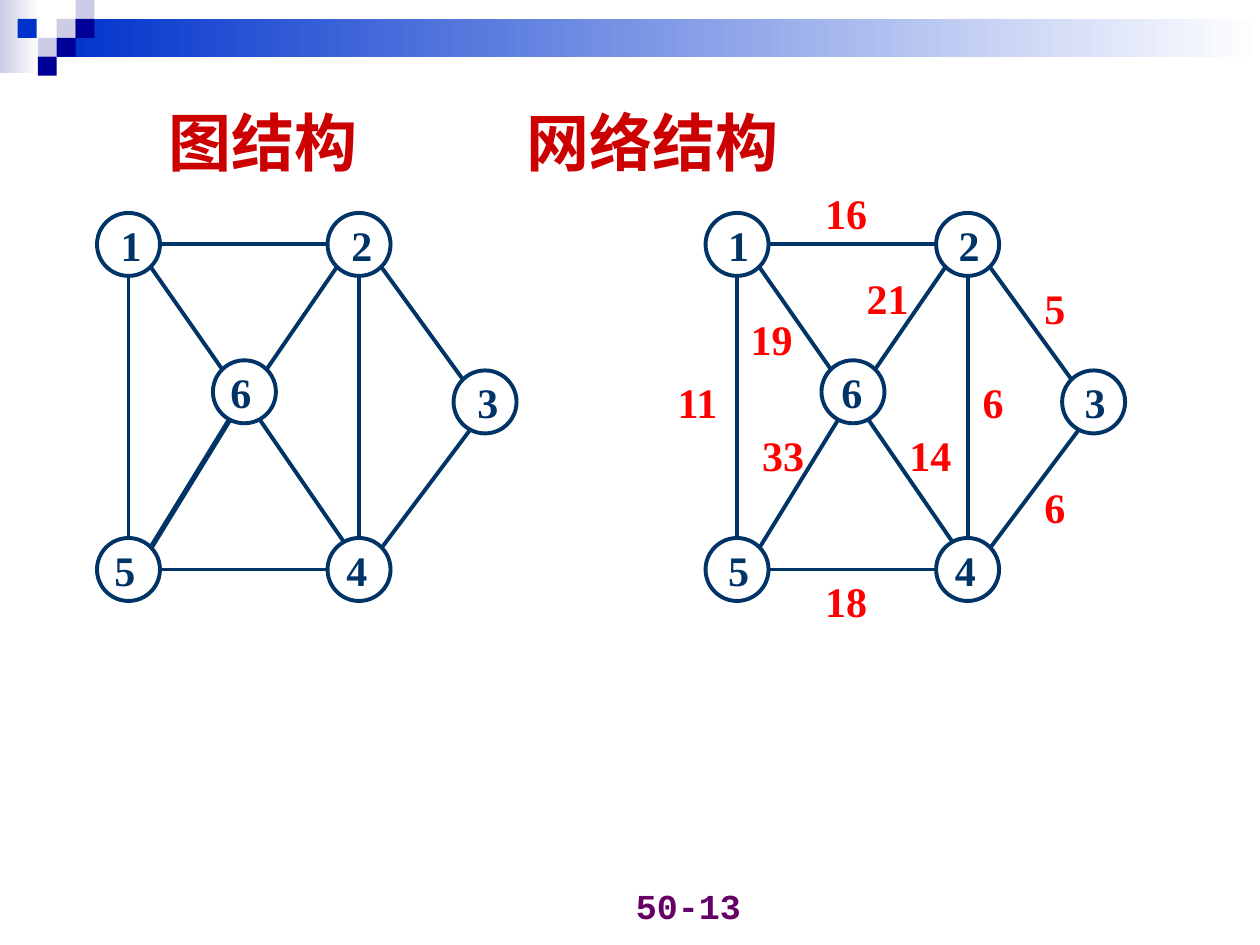
"""Build a slide that sets a plain graph beside a weighted network."""
from typing import NamedTuple

from lxml import etree
from pptx import Presentation
from pptx.dml.color import RGBColor
from pptx.enum.shapes import MSO_CONNECTOR, MSO_SHAPE
from pptx.enum.text import MSO_ANCHOR, PP_ALIGN
from pptx.oxml.ns import qn
from pptx.util import Inches, Pt

RECT, OVAL = MSO_SHAPE.RECTANGLE, MSO_SHAPE.OVAL
STRAIGHT = MSO_CONNECTOR.STRAIGHT
TOP, BOTTOM = MSO_ANCHOR.TOP, MSO_ANCHOR.BOTTOM
LEFT, RIGHT = PP_ALIGN.LEFT, PP_ALIGN.RIGHT
NAVY, RED, WHITE, PALE = "003366", "FF0000", "FFFFFF", "CCCCE6"
BLUE, DARK = "0033CC", "000099"
SERIF, HAN, MONO = "Times New Roman", "Noto Sans CJK SC", "Courier New"
SIZE, HALF, TILE = 0.5, 0.25, 0.15


class Node(NamedTuple):
    name: str
    x: float
    y: float


class Edge(NamedTuple):
    start: str
    end: str
    out: tuple[float, float]
    into: tuple[float, float]


class Graph(NamedTuple):
    left: float
    bold: float
    nudge: dict[str, float]


class Weight(NamedTuple):
    text: str
    x: float
    y: float


class Tile(NamedTuple):
    x: float
    y: float
    fill: str


NODES = [
    Node("1", 0, 1.69), Node("2", 1.83, 1.69), Node("3", 2.83, 2.94),
    Node("4", 1.83, 4.27), Node("5", 0, 4.27), Node("6", 0.92, 2.86),
]
EDGES = [
    Edge("1", "2", (HALF, 0), (-HALF, 0)),
    Edge("1", "5", (0, HALF), (0, -HALF)),
    Edge("1", "6", (0.17, 0.17), (-0.17, -0.17)),
    Edge("2", "6", (-0.17, 0.17), (0.17, -0.17)),
    Edge("2", "3", (0.17, 0.17), (-0.17, -0.17)),
    Edge("2", "4", (0, HALF), (0, -HALF)),
    Edge("3", "4", (-0.08, 0.17), (0.17, -0.16)),
    Edge("6", "4", (0.08, 0.16), (-0.08, -0.16)),
    Edge("6", "5", (-0.08, 0.16), (0.17, -0.16)),
    Edge("5", "4", (HALF, 0), (-HALF, 0)),
]
GRAPHS = [
    Graph(0.77, 3, {"1": 0.09, "2": 0.09, "3": 0.09,
                    "4": 0.05, "5": 0.04, "6": 0.04}),
    Graph(5.6, 2.25, {"1": 0.08, "2": 0.08, "3": 0.08,
                      "4": 0.05, "5": 0.08, "6": 0.06}),
]
WEIGHTS = [
    Weight("11", 5.28, 2.94), Weight("33", 5.95, 3.36),
    Weight("18", 6.45, 4.52), Weight("14", 7.12, 3.36),
    Weight("6", 7.7, 2.94), Weight("6", 8.19, 3.77),
    Weight("5", 8.19, 2.19), Weight("16", 6.45, 1.44),
    Weight("19", 5.86, 2.44), Weight("21", 6.78, 2.11),
]
TILES = [
    Tile(0.45, 0.15, PALE), Tile(0.6, 0, PALE), Tile(0.6, 0.15, DARK),
    Tile(0.3, 0.3, PALE), Tile(0.14, 0.15, BLUE), Tile(0.45, 0.3, DARK),
    Tile(0.3, 0.45, DARK),
]


def tint(code: str) -> RGBColor:
    """Turn a hex string into a colour."""
    return RGBColor.from_string(code)


def shape(slide, kind, x: float, y: float, w: float, h: float):
    """Add a preset shape without shadow or outline."""
    item = slide.shapes.add_shape(kind, *map(Inches, (x, y, w, h)))
    item.shadow.inherit = False
    item.line.fill.background()
    return item


def fade(slide, x: float, y: float, w: float, h: float, code: str) -> None:
    """Draw a bar that fades to white from left to right."""
    fill = shape(slide, RECT, x, y, w, h).fill
    fill.gradient()
    fill.gradient_angle = 0
    for stop, shade in zip(fill.gradient_stops, (code, WHITE)):
        stop.color.rgb = tint(shade)


def text(slide, words: str, x: float, y: float, w: float, h: float, *,
         size: float = 24, font: str = SERIF, color: str = NAVY,
         align=LEFT, anchor=TOP, wrap: bool = False,
         pad: tuple[float, float] = (0.1, 0.05), tab: float = 0) -> None:
    """Add one line of bold text."""
    frame = slide.shapes.add_textbox(*map(Inches, (x, y, w, h))).text_frame
    frame.word_wrap, frame.vertical_anchor = wrap, anchor
    frame.margin_left = frame.margin_right = Inches(pad[0])
    frame.margin_top = frame.margin_bottom = Inches(pad[1])
    para = frame.paragraphs[0]
    para.alignment = align
    if tab:
        stops = etree.SubElement(para._p.get_or_add_pPr(), qn("a:tabLst"))
        etree.SubElement(stops, qn("a:tab"), pos=str(Inches(tab)), algn="l")
    run = para.add_run()
    run.text = words
    face = run.font
    face.name, face.size, face.bold = font, Pt(size), True
    face.color.rgb = tint(color)
    etree.SubElement(run._r.get_or_add_rPr(), qn("a:ea"), typeface=font)


def link(slide, edge: Edge, graph: Graph, spots: dict[str, Node]) -> None:
    """Draw one edge between the rims of two nodes."""
    ends = []
    for name, (dx, dy) in ((edge.start, edge.out), (edge.end, edge.into)):
        spot = spots[name]
        ends += [graph.left + spot.x + HALF + dx, spot.y + HALF + dy]
    line = slide.shapes.add_connector(STRAIGHT, *map(Inches, ends))
    line.line.color.rgb = tint(NAVY)
    heavy = (edge.start, edge.end) == ("6", "5")
    line.line.width = Pt(graph.bold if heavy else 2.25)
    etree.SubElement(line._element.spPr, qn("a:effectLst"))


def draw(slide, graph: Graph) -> None:
    """Draw the edges, nodes and node names of a graph."""
    spots = {node.name: node for node in NODES}
    for edge in EDGES:
        link(slide, edge, graph, spots)
    for node in NODES:
        x = graph.left + node.x
        disc = shape(slide, OVAL, x, node.y, SIZE, SIZE)
        disc.fill.solid()
        disc.fill.fore_color.rgb = tint(WHITE)
        disc.line.color.rgb = tint(NAVY)
        disc.line.width = Pt(2.25)
        text(slide, node.name, x + graph.nudge[node.name], node.y, 0.36, SIZE)


def main() -> None:
    """Build and save the slide."""
    deck = Presentation()
    deck.slide_width, deck.slide_height = Inches(10), Inches(7.5)
    slide = deck.slides.add_slide(deck.slide_layouts[6])
    fade(slide, 0, 0, 0.31, 0.58, PALE)
    fade(slide, 0.45, 0.15, 9.55, 0.3, BLUE)
    for tile in TILES:
        fill = shape(slide, RECT, tile.x, tile.y, TILE, TILE).fill
        fill.solid()
        fill.fore_color.rgb = tint(tile.fill)
    text(slide, "50-13", 3.65, 6.9, 2.33, 0.5, size=20, font=MONO,
         color="660066", align=RIGHT, anchor=BOTTOM, wrap=True)
    text(slide, "图结构\t网络结构", 1.22, 0.76, 6.75, 0.72, size=36, font=HAN,
         color="CC0000", wrap=True, pad=(0.12, 0.06), tab=2.84)
    for graph in GRAPHS:
        draw(slide, graph)
    for item in WEIGHTS:
        wide = 0.53 if len(item.text) > 1 else 0.36
        text(slide, item.text, item.x, item.y, wide, SIZE, color=RED)
    deck.save("out.pptx")


if __name__ == "__main__":
    main()
